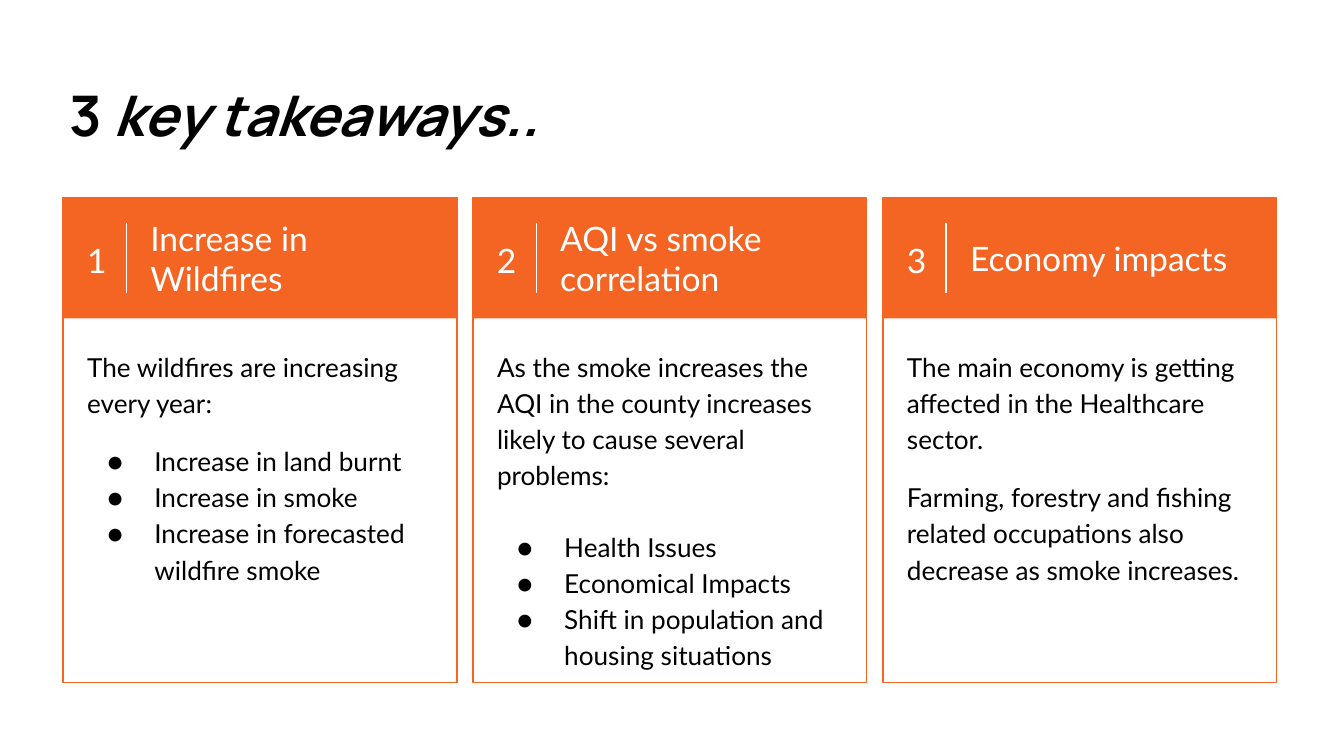
from lxml import etree
from pptx import Presentation
from pptx.dml.color import RGBColor
from pptx.enum import shapes, text
from pptx.oxml.ns import qn
from pptx.util import Inches, Pt

COLORS = {"accent": "F46524", "white": "FFFFFF", "black": "000000"}
BODY_FONT, TITLE_FONT = "Lato", "Manrope"

TITLE = [("3 ", False), ("key takeaways..", True)]
# Each body paragraph: text, bulleted, space before in points
CARDS = [
    ("Increase in Wildfires", [
        ("The wildfires are increasing every year:", False, 0),
        ("Increase in land burnt", True, 12),
        ("Increase in smoke", True, 0),
        ("Increase in forecasted wildfire smoke", True, 0),
    ]),
    ("AQI vs smoke correlation", [
        ("As the smoke increases the AQI in the county increases "
         "likely to cause several problems:", False, 0),
        ("Health Issues", True, 19.3),
        ("Economical Impacts", True, 0),
        ("Shift in population and housing situations", True, 0),
    ]),
    ("Economy impacts", [
        ("The main economy is getting affected in the Healthcare sector.",
         False, 0),
        ("Farming, forestry and fishing related occupations also "
         "decrease as smoke increases.", False, 12),
    ]),
]

LEFT, TOP, PITCH = 0.47, 1.47, 3.05
WIDTH, HEIGHT, HEADER = 2.93, 3.61, 0.9


def color(name):
    return RGBColor.from_string(COLORS[name])


def set_font(font, name, size, color_name):
    font.name, font.size = name, Pt(size)
    font.color.rgb = color(color_name)


def set_frame(frame, anchor):
    frame.word_wrap = True
    frame.auto_size = text.MSO_AUTO_SIZE.NONE
    frame.vertical_anchor = anchor
    frame.margin_left = frame.margin_right = Inches(0.1)
    frame.margin_top = frame.margin_bottom = Inches(0.1)


def add_bullet(para, size, color_name):
    props = para._p.get_or_add_pPr()
    props.set("marL", str(Inches(0.5)))
    props.set("indent", str(Inches(-0.35)))
    tint = etree.SubElement(props, qn("a:buClr"))
    etree.SubElement(tint, qn("a:srgbClr")).set("val", COLORS[color_name])
    etree.SubElement(props, qn("a:buSzPts")).set("val", str(size * 100))
    etree.SubElement(props, qn("a:buFont")).set("typeface", BODY_FONT)
    etree.SubElement(props, qn("a:buChar")).set("char", "●")


def add_text(page, place, paragraphs, size, color_name, spacing=1.0,
             anchor=text.MSO_ANCHOR.MIDDLE, align=text.PP_ALIGN.LEFT):
    box = page.shapes.add_textbox(*map(Inches, place))
    frame = box.text_frame
    set_frame(frame, anchor)
    for index, (words, bulleted, before) in enumerate(paragraphs):
        para = frame.add_paragraph() if index else frame.paragraphs[0]
        para.text = words
        para.alignment = align
        para.line_spacing = spacing
        para.space_before = Pt(before)
        if bulleted:
            add_bullet(para, size, color_name)
        set_font(para.font, BODY_FONT, size, color_name)


def add_panel(group, place):
    panel = group.shapes.add_shape(shapes.MSO_SHAPE.RECTANGLE,
                                   *map(Inches, place))
    panel.shadow.inherit = False
    return panel


def add_card(page, number, heading, body):
    left = LEFT + (number - 1) * PITCH

    # Outline and header band
    group = page.shapes.add_group_shape()
    outline = add_panel(group, (left, TOP, WIDTH, HEIGHT))
    outline.fill.background()
    outline.line.color.rgb = color("accent")
    outline.line.width = Pt(0.75)
    band = add_panel(group, (left, TOP, WIDTH, HEADER))
    band.fill.solid()
    band.fill.fore_color.rgb = color("accent")
    band.line.fill.background()

    # Number, divider and heading
    add_text(page, (left + 0.06, 1.46, 0.38, HEADER),
             [(str(number), False, 0)], 18, "white", 1.15,
             align=text.PP_ALIGN.CENTER)
    divider = page.shapes.add_connector(
        shapes.MSO_CONNECTOR.STRAIGHT,
        *map(Inches, (left + 0.47, 1.66, left + 0.47, 2.18)))
    divider.line.color.rgb = color("white")
    divider.line.width = Pt(0.75)
    etree.SubElement(divider._element.spPr, qn("a:effectLst"))
    add_text(page, (left + 0.55, TOP, 2.3, HEADER),
             [(heading, False, 0)], 18, "white")

    # Body
    add_text(page, (left + 0.08, 2.48, 2.77, 2.6), body, 14, "black", 1.15,
             anchor=text.MSO_ANCHOR.TOP)


def main():
    deck = Presentation()
    deck.slide_width = Inches(10)
    deck.slide_height = deck.slide_width * 9 // 16
    page = deck.slides.add_slide(deck.slide_layouts[5])

    # Title
    title = page.shapes.title
    title.left, title.top = Inches(0.42), Inches(0.5)
    title.width, title.height = Inches(9.15), Inches(0.75)
    set_frame(title.text_frame, text.MSO_ANCHOR.TOP)
    para = title.text_frame.paragraphs[0]
    para.alignment = text.PP_ALIGN.LEFT
    set_font(para.font, TITLE_FONT, 30, "black")
    para.font.bold = True
    for words, italic in TITLE:
        span = para.add_run()
        span.text = words
        span.font.italic = italic

    # Takeaway cards
    for number, (heading, body) in enumerate(CARDS, start=1):
        add_card(page, number, heading, body)

    deck.save("out.pptx")


if __name__ == "__main__":
    main()
